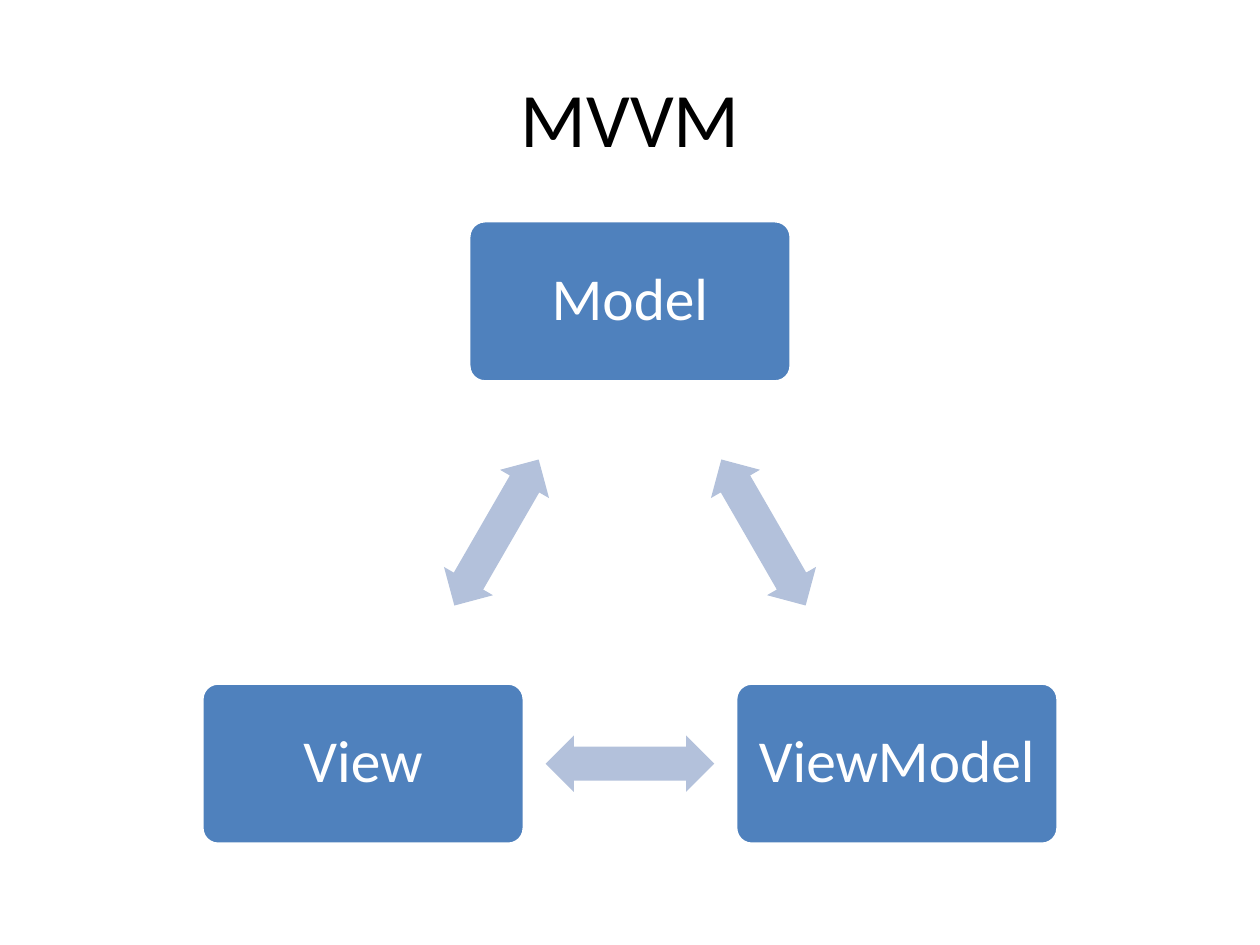
from pptx import Presentation
from pptx import util as u
from pptx.dml import color
from pptx.enum import shapes, text

COLORS = {"title": "000000", "node": "4F81BD", "node_text": "FFFFFF",
          "outline": "FFFFFF", "arrow": "B3C1DB"}
FONT = "Calibri"
NODE_SIZE = (6.5, 3.25)
ARROW_SIZE = (3.4, 1.14)
NODE_FRAME = {"margin_left": u.Cm(0.3), "margin_right": u.Cm(0.3),
              "margin_top": u.Cm(0.46), "margin_bottom": u.Cm(0.46),
              "vertical_anchor": text.MSO_ANCHOR.MIDDLE, "word_wrap": True}


def rgb(name):
    return color.RGBColor.from_string(COLORS[name])


def apply_format(target, values):
    for name, value in values.items():
        setattr(target, name, value)


def write_text(frame, wording, size, color_name, frame_format):
    apply_format(frame, frame_format)
    paragraph = frame.paragraphs[0]
    paragraph.alignment = text.PP_ALIGN.CENTER
    run = paragraph.add_run()
    run.text = wording
    apply_format(run.font, {"name": FONT, "size": u.Pt(size)})
    run.font.color.rgb = rgb(color_name)
    return paragraph


def add_title(slide, box, wording):
    title = slide.shapes.title
    names = ("left", "top", "width", "height")
    apply_format(title, dict(zip(names, map(u.Cm, box))))
    write_text(title.text_frame, wording, 44, "title",
               {"vertical_anchor": text.MSO_ANCHOR.MIDDLE, "word_wrap": True})


def add_centered_shape(slide, kind, center, size, fill, adjustments):
    left, top = (middle - length / 2 for middle, length in zip(center, size))
    shape = slide.shapes.add_shape(kind, *map(u.Cm, (left, top, *size)))
    shape.shadow.inherit = False
    shape.fill.solid()
    shape.fill.fore_color.rgb = rgb(fill)
    for index, value in enumerate(adjustments):
        shape.adjustments[index] = value
    return shape


def add_node(slide, center, wording):
    node = add_centered_shape(slide, shapes.MSO_SHAPE.ROUNDED_RECTANGLE,
                              center, NODE_SIZE, "node", [0.1])
    node.line.color.rgb = rgb("outline")
    node.line.width = u.Pt(2)
    paragraph = write_text(node.text_frame, wording, 34, "node_text", NODE_FRAME)
    paragraph.line_spacing = 0.9


def add_arrow(slide, start, end, rotation):
    center = [(first + second) / 2 for first, second in zip(start, end)]
    arrow = add_centered_shape(slide, shapes.MSO_SHAPE.LEFT_RIGHT_ARROW,
                               center, ARROW_SIZE, "arrow", [0.6, 0.5])
    arrow.line.fill.background()
    arrow.rotation = rotation


def add_cycle(slide, box, names, rotations):
    left, top, width, height = box
    node_width, node_height = NODE_SIZE
    bottom = top + height - node_height / 2
    centers = [(left + width / 2, top + node_height / 2),
               (left + width - node_width / 2, bottom),
               (left + node_width / 2, bottom)]
    following = centers[1:] + centers[:1]
    for name, center, target, rotation in zip(names, centers, following, rotations):
        add_node(slide, center, name)
        add_arrow(slide, center, target, rotation)


def main():
    presentation = Presentation()
    presentation.slide_width = u.Cm(25.4)
    presentation.slide_height = u.Cm(19.05)
    slide = presentation.slides.add_slide(presentation.slide_layouts[5])
    add_title(slide, (1.27, 0.76, 22.86, 3.18), "MVVM")
    add_cycle(slide, (4.07, 4.45, 17.26, 12.57),
              ["Model", "ViewModel", "View"], [60, 0, 300])
    presentation.save("out.pptx")


if __name__ == "__main__":
    main()
